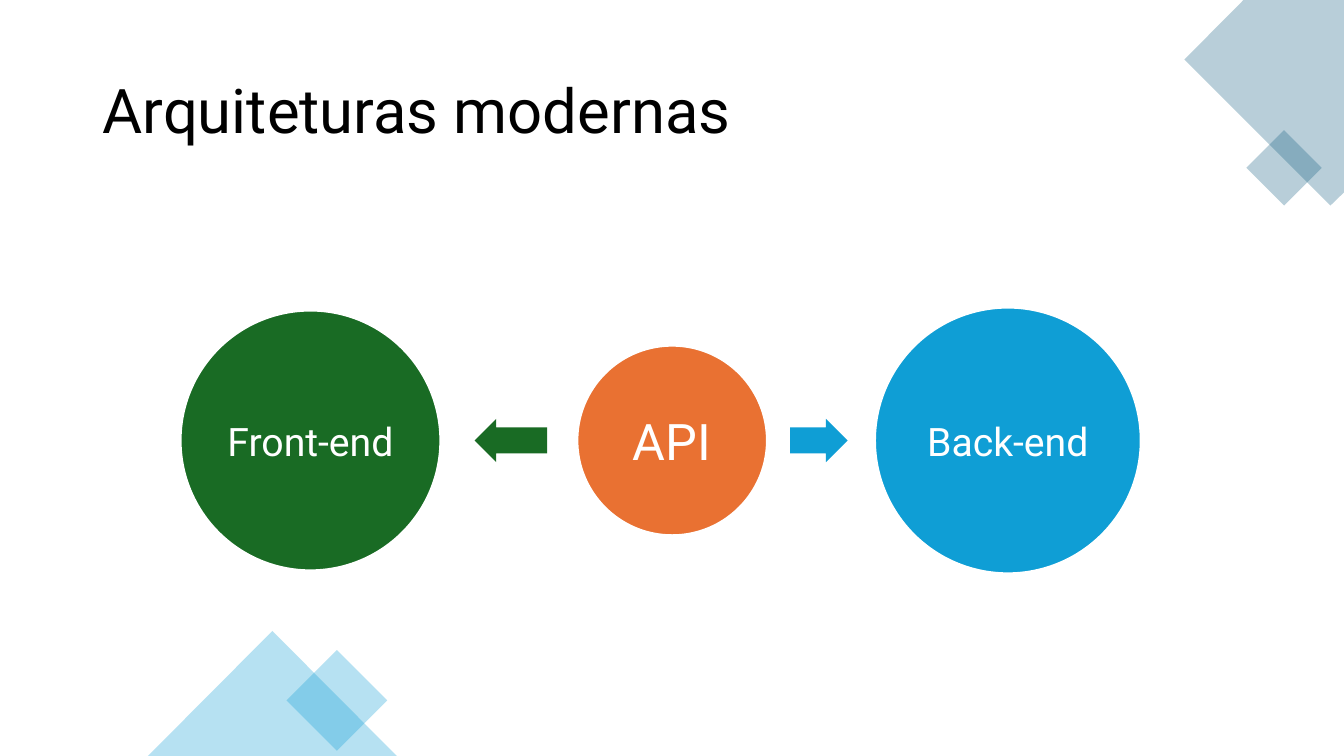
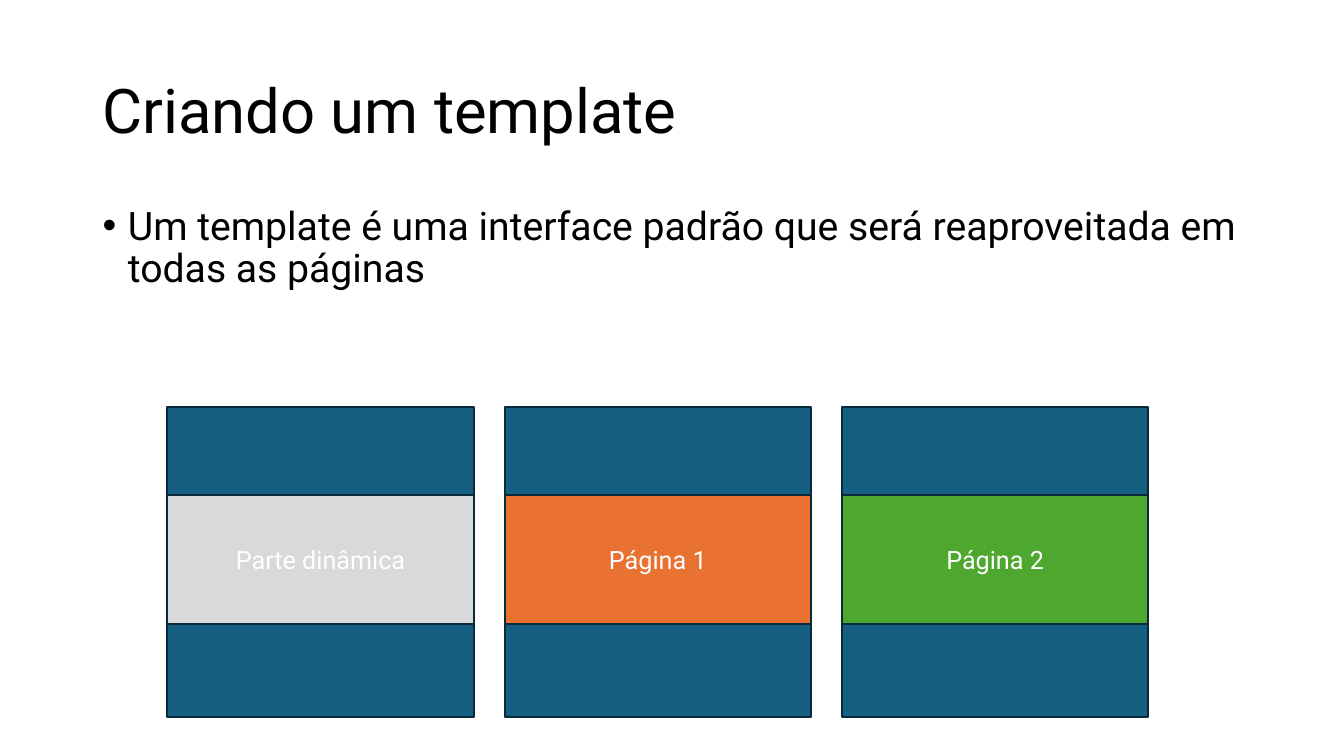
from dataclasses import dataclass

from lxml.etree import SubElement
from pptx import Presentation
from pptx.dml.color import RGBColor
from pptx.enum.shapes import MSO_SHAPE
from pptx.enum.text import MSO_ANCHOR, MSO_AUTO_SIZE, PP_ALIGN
from pptx.oxml.ns import qn
from pptx.util import Cm, Pt


@dataclass(frozen=True)
class Theme:
    font: str = "Roboto"
    black: str = "000000"
    white: str = "FFFFFF"
    petrol: str = "156082"
    outline: str = "092A39"
    sky: str = "0F9ED5"
    orange: str = "E97132"
    forest: str = "196B24"
    leaf: str = "4EA72E"
    gray: str = "D9D9D9"
    title_size: int = 44
    hub_size: int = 36
    text_size: int = 28
    label_size: int = 18
    line_width: float = 1.5
    line_spacing: float = 0.9
    decor_opacity: int = 30


@dataclass(frozen=True)
class Box:
    """A rectangle in centimetres."""
    left: float
    top: float
    width: float
    height: float

    @property
    def lengths(self):
        return Cm(self.left), Cm(self.top), Cm(self.width), Cm(self.height)

    def inner(self, left, top, width, height):
        return Box(self.left + left, self.top + top, width, height)


THEME = Theme()
PAGE_BOX = Box(0, 0, 33.87, 19.05)
TITLE_BOX = Box(2.33, 1.02, 29.21, 3.68)
BODY_BOX = Box(2.33, 5.08, 29.21, 12.09)
DIAGRAM_BOX = Box(4.47, 7.75, 24.28, 6.7)
MOCKUPS_BOX = Box(4.22, 10.26, 24.72, 7.8)


# Shared styling
def paint(shape, fill, line=None, opacity=100):
    shape.shadow.inherit = False
    shape.fill.solid()
    shape.fill.fore_color.rgb = RGBColor.from_string(fill)
    if opacity < 100:
        color = shape.element.spPr.find(qn("a:solidFill"))[0]
        SubElement(color, qn("a:alpha"), val=str(opacity * 1000))
    if line:
        shape.line.color.rgb = RGBColor.from_string(line)
        shape.line.width = Pt(THEME.line_width)
    else:
        shape.line.fill.background()


def style_paragraph(para, size, color, alignment):
    para.alignment = alignment
    para.font.name = THEME.font
    para.font.size = Pt(size)
    para.font.color.rgb = RGBColor.from_string(color)


def add_figure(page, preset, box, fill, line=None, opacity=100):
    shape = page.shapes.add_shape(preset, *box.lengths)
    paint(shape, fill, line, opacity)
    return shape


def add_label(shape, text, size):
    frame = shape.text_frame
    frame.word_wrap = False
    frame.vertical_anchor = MSO_ANCHOR.MIDDLE
    frame.text = text
    style_paragraph(frame.paragraphs[0], size, THEME.white, PP_ALIGN.CENTER)


def fill_placeholder(placeholder, box, text, size, anchor):
    placeholder.left, placeholder.top, placeholder.width, placeholder.height = box.lengths
    frame = placeholder.text_frame
    frame.text = text
    frame.auto_size = MSO_AUTO_SIZE.NONE
    frame.vertical_anchor = anchor
    para = frame.paragraphs[0]
    para.line_spacing = THEME.line_spacing
    para.space_before = Pt(0)
    style_paragraph(para, size, THEME.black, PP_ALIGN.LEFT)
    return para


def add_page(deck, layout_name, title):
    page = deck.slides.add_slide(deck.slide_layouts.get_by_name(layout_name))
    fill_placeholder(page.shapes.title, TITLE_BOX, title, THEME.title_size,
                     MSO_ANCHOR.MIDDLE)
    return page


# Corner decorations
def add_top_corner(page, box):
    right = box.left + box.width
    outline = [(0, 0), (-2.53, 0), (-4.02, 1.5), (-0.34, 5.18), (0, 4.85)]
    points = [(Cm(right + x), Cm(box.top + y)) for x, y in outline]
    builder = page.shapes.build_freeform(*points[0])
    builder.add_line_segments(points[1:])
    paint(builder.convert_to_shape(), THEME.petrol, opacity=THEME.decor_opacity)
    add_figure(page, MSO_SHAPE.DIAMOND, box.inner(box.width - 2.46, 3.28, 1.9, 1.9),
               THEME.petrol, opacity=THEME.decor_opacity)


def add_bottom_corner(page, box):
    for preset, left, rise, width, height in (
        (MSO_SHAPE.DIAMOND, 7.22, 2.67, 2.54, 2.54),
        (MSO_SHAPE.ISOSCELES_TRIANGLE, 3.73, 3.15, 6.27, 3.15),
    ):
        add_figure(page, preset, box.inner(left, box.height - rise, width, height),
                   THEME.sky, opacity=THEME.decor_opacity)


# Circles joined by arrows, all centred on one horizontal axis
def add_architecture(page, box):
    def centred(left, width, height):
        return box.inner(left, (box.height - height) / 2, width, height)

    for text, left, diameter, fill, size in (
        ("Front-end", 0.08, 6.55, THEME.forest, THEME.text_size),
        ("API", 10.08, 4.78, THEME.orange, THEME.hub_size),
        ("Back-end", 17.58, 6.7, THEME.sky, THEME.text_size),
    ):
        circle = add_figure(page, MSO_SHAPE.OVAL, centred(left, diameter, diameter),
                            fill, THEME.white)
        add_label(circle, text, size)

    for preset, left, width, fill in (
        (MSO_SHAPE.LEFT_ARROW, 7.49, 1.83, THEME.forest),
        (MSO_SHAPE.RIGHT_ARROW, 15.44, 1.45, THEME.sky),
    ):
        arrow = add_figure(page, preset, centred(left, width, 1.09), fill)
        arrow.adjustments[0] = 0.6
        arrow.adjustments[1] = 0.5


# Page mock-ups: a fixed frame with a changing middle band
def add_mockups(page, box):
    bands = (("Parte dinâmica", THEME.gray), ("Página 1", THEME.orange),
             ("Página 2", THEME.leaf))
    gap = 0.78
    width = (box.width - gap * (len(bands) - 1)) / len(bands)
    for index, (text, fill) in enumerate(bands):
        left = index * (width + gap)
        add_figure(page, MSO_SHAPE.RECTANGLE, box.inner(left, 0, width, box.height),
                   THEME.petrol, THEME.outline)
        band = add_figure(page, MSO_SHAPE.RECTANGLE, box.inner(left, 2.21, width, 3.25),
                          fill, THEME.outline)
        add_label(band, text, THEME.label_size)


def add_architecture_page(deck):
    page = add_page(deck, "Title Only", "Arquiteturas modernas")
    add_top_corner(page, PAGE_BOX)
    add_bottom_corner(page, PAGE_BOX)
    add_architecture(page, DIAGRAM_BOX)


def add_template_page(deck):
    page = add_page(deck, "Title and Content", "Criando um template")
    para = fill_placeholder(
        page.placeholders[1], BODY_BOX,
        "Um template é uma interface padrão que será reaproveitada em todas as páginas",
        THEME.text_size, MSO_ANCHOR.TOP)
    # Hanging indent for the bullet
    properties = para._p.get_or_add_pPr()
    properties.set("marL", str(Cm(0.64)))
    properties.set("indent", str(Cm(-0.64)))
    add_mockups(page, MOCKUPS_BOX)


def main():
    deck = Presentation()
    deck.slide_width, deck.slide_height = Cm(PAGE_BOX.width), Cm(PAGE_BOX.height)
    add_architecture_page(deck)
    add_template_page(deck)
    deck.save("out.pptx")


if __name__ == "__main__":
    main()
